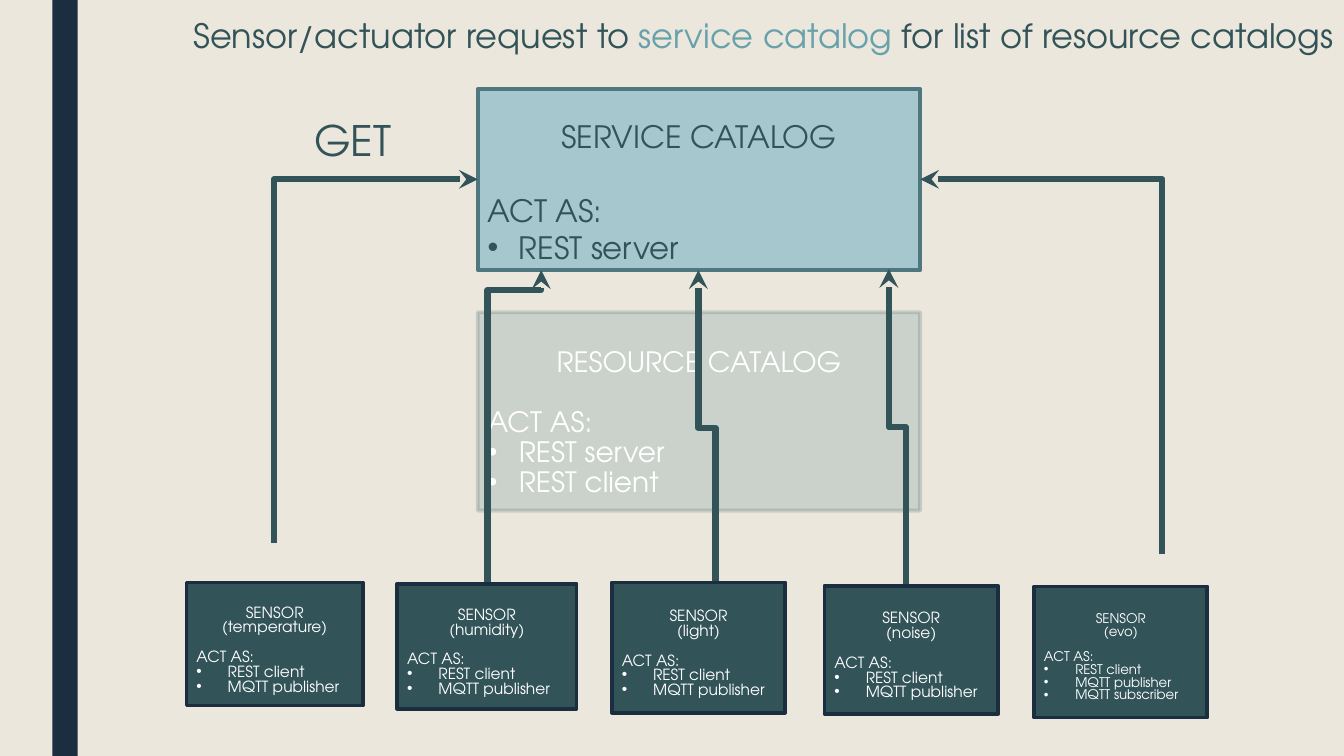
import pptx
import pptx.util
import pptx.dml.color
import pptx.enum.shapes
import pptx.enum.text
import pptx.oxml
import pptx.oxml.ns

Cm, Pt = pptx.util.Cm, pptx.util.Pt
RGB = pptx.dml.color.RGBColor
qn = pptx.oxml.ns.qn
Align = pptx.enum.text.PP_ALIGN
Anchor = pptx.enum.text.MSO_ANCHOR
Kind = pptx.enum.shapes.MSO_SHAPE
Wire = pptx.enum.shapes.MSO_CONNECTOR

CREAM = RGB(0xEB, 0xE7, 0xDD)
NAVY = RGB(0x1A, 0x2E, 0x40)
DARK = RGB(0x32, 0x53, 0x58)
TEAL = RGB(0x4B, 0x7D, 0x85)
EDGE = RGB(0x4E, 0x77, 0x7F)
PALE = RGB(0xA5, 0xC7, 0xCD)
AQUA = RGB(0x69, 0xA1, 0xAB)
WHITE = RGB(0xFF, 0xFF, 0xFF)
FACE = "TeX Gyre Adventor"

# Content, all places in centimetres
TITLE = [("Sensor/actuator request to ", DARK), ("service catalog ", AQUA),
         ("for list of resource catalogs", DARK)]
BAR = (1.32, 0, 0.64, 19.05)

# Styles: lead is the top inset in points, tight the line spacing
SERVICE = dict(fill=PALE, edge=EDGE, ink=DARK, size=22, tight=1, lead=17)
RESOURCE = dict(fill=TEAL, edge=DARK, ink=WHITE, size=20, tight=0.9, lead=17,
                clear=(20, 19))
SENSOR = dict(fill=DARK, edge=NAVY, ink=WHITE, size=11, tight=0.8, lead=9.4)
EVO = dict(SENSOR, size=9.5, lead=8.3)

CLIENT = ["REST client", "MQTT publisher"]
BOXES = [
    ((12.04, 2.24, 11.15, 4.57), ["SERVICE CATALOG"], ["REST server"], SERVICE),
    ((12.04, 7.87, 11.15, 5), ["RESOURCE CATALOG"],
     ["REST server", "REST client"], RESOURCE),
    ((4.7, 14.68, 4.45, 3.1), ["SENSOR", "(temperature)"], CLIENT, SENSOR),
    ((10.01, 14.71, 4.52, 3.15), ["SENSOR", "(humidity)"], CLIENT, SENSOR),
    ((15.42, 14.68, 4.37, 3.28), ["SENSOR", "(light)"], CLIENT, SENSOR),
    ((20.78, 14.76, 4.37, 3.23), ["SENSOR", "(noise)"], CLIENT, SENSOR),
    ((26.06, 14.78, 4.37, 3.3), ["SENSOR", "(evo)"],
     CLIENT + ["MQTT subscriber"], EVO),
]

# Start, end and place of the middle bend (None for a single corner)
LINKS = [
    ((6.91, 13.69), (12.04, 4.52), None),
    ((29.29, 13.97), (23.19, 4.52), None),
    ((12.29, 14.71), (13.64, 6.81), 0.937),
    ((18.03, 14.76), (17.6, 6.81), 0.5),
    ((22.83, 14.76), (22.4, 6.78), 0.5),
]


def put(item, vals):
    for name, val in vals.items():
        setattr(item, name, val)


def node(base, tag, **vals):
    kid = pptx.oxml.parse_xml(
        f'<a:{tag} xmlns:a="http://schemas.openxmlformats.org/drawingml/2006/main"/>')
    for name, val in vals.items():
        kid.set(name, str(val))
    base.append(kid)


def write(para, text, size, ink):
    run = para.add_run()
    run.text = text
    put(run.font, dict(name=FACE, size=Pt(size), bold=False))
    run.font.color.rgb = ink


def block(slide, place, fill, edge=None):
    shape = slide.shapes.add_shape(Kind.RECTANGLE, *map(Cm, place))
    shape.shadow.inherit = False
    shape.fill.solid()
    shape.fill.fore_color.rgb = fill
    if edge is None:
        shape.line.fill.background()
    else:
        shape.line.color.rgb = edge
        shape.line.width = Pt(2.75)
    return shape


def card(slide, place, heads, roles, look):
    shape = block(slide, place, look["fill"], look["edge"])
    if "clear" in look:
        tones = shape.element.spPr.iter(qn("a:srgbClr"))
        for tone, part in zip(tones, look["clear"]):
            node(tone, "alpha", val=part * 1000)
    frame = shape.text_frame
    put(frame, dict(word_wrap=True, vertical_anchor=Anchor.MIDDLE,
                    margin_top=Pt(look["lead"]), margin_bottom=0))
    size, tight = look["size"], look["tight"]
    rows = [(head, "head") for head in heads] + [("ACT AS:", "label")]
    rows += [(role, "role") for role in roles]
    for i, (text, sort) in enumerate(rows):
        para = frame.paragraphs[0] if i == 0 else frame.add_paragraph()
        gap = size * 1.2 * tight if sort == "label" else 0
        put(para, dict(alignment=Align.CENTER if sort == "head" else Align.LEFT,
                       line_spacing=tight, space_before=Pt(gap)))
        if sort == "role":
            props = para._p.get_or_add_pPr()
            props.set("marL", str(Cm(0.79)))
            props.set("indent", str(-Cm(0.79)))
            node(props, "buFont", typeface="Arial")
            node(props, "buChar", char="•")
        write(para, text, size, look["ink"])


def link(slide, start, end, bend):
    # A rise first, then a turn: an elbow lying on its side
    (x1, y1), (x2, y2) = start, end
    span, rise = abs(x2 - x1), y1 - y2
    left, top = (x1 + x2 - rise) / 2, (y1 + y2 - span) / 2
    wire = slide.shapes.add_connector(
        Wire.ELBOW, *map(Cm, (left, top, left + rise, top + span)))
    wire.line.color.rgb = DARK
    wire.line.width = Pt(4.5)
    props = wire.element.spPr
    xfrm = props.find(qn("a:xfrm"))
    right = x2 > x1
    xfrm.set("rot", str((90 if right else 270) * 60000))
    xfrm.set("flipV", "1")
    if right:
        xfrm.set("flipH", "1")
    geom = props.find(qn("a:prstGeom"))
    if bend is None:
        geom.set("prst", "bentConnector2")
    else:
        node(geom.find(qn("a:avLst")), "gd", name="adj1",
             fmla=f"val {round(bend * 100000)}")
    node(props.find(qn("a:ln")), "tailEnd", type="stealth")
    node(props, "effectLst")


def main():
    deck = pptx.Presentation()
    put(deck, dict(slide_width=Cm(33.87), slide_height=Cm(19.05)))
    slide = deck.slides.add_slide(deck.slide_layouts[5])
    slide.background.fill.solid()
    slide.background.fill.fore_color.rgb = CREAM
    block(slide, BAR, NAVY)

    # Title
    title = slide.shapes.title
    put(title, dict(left=Cm(3.58), top=Cm(0.25), width=Cm(30.28), height=Cm(1.27)))
    put(title.text_frame, dict(word_wrap=True, vertical_anchor=Anchor.MIDDLE,
                               auto_size=pptx.enum.text.MSO_AUTO_SIZE.NONE))
    para = title.text_frame.paragraphs[0]
    para.alignment = Align.RIGHT
    for text, ink in TITLE:
        write(para, text, 24, ink)

    # Catalogs, then arrows, then sensors on top
    for box in BOXES[:2]:
        card(slide, *box)
    for wire in LINKS:
        link(slide, *wire)
    for box in BOXES[2:]:
        card(slide, *box)

    # Request label
    label = slide.shapes.add_textbox(*map(Cm, (7.67, 2.77, 3.3, 1.55)))
    label.text_frame.word_wrap = True
    write(label.text_frame.paragraphs[0], "GET", 30, DARK)
    deck.save("out.pptx")


if __name__ == "__main__":
    main()
